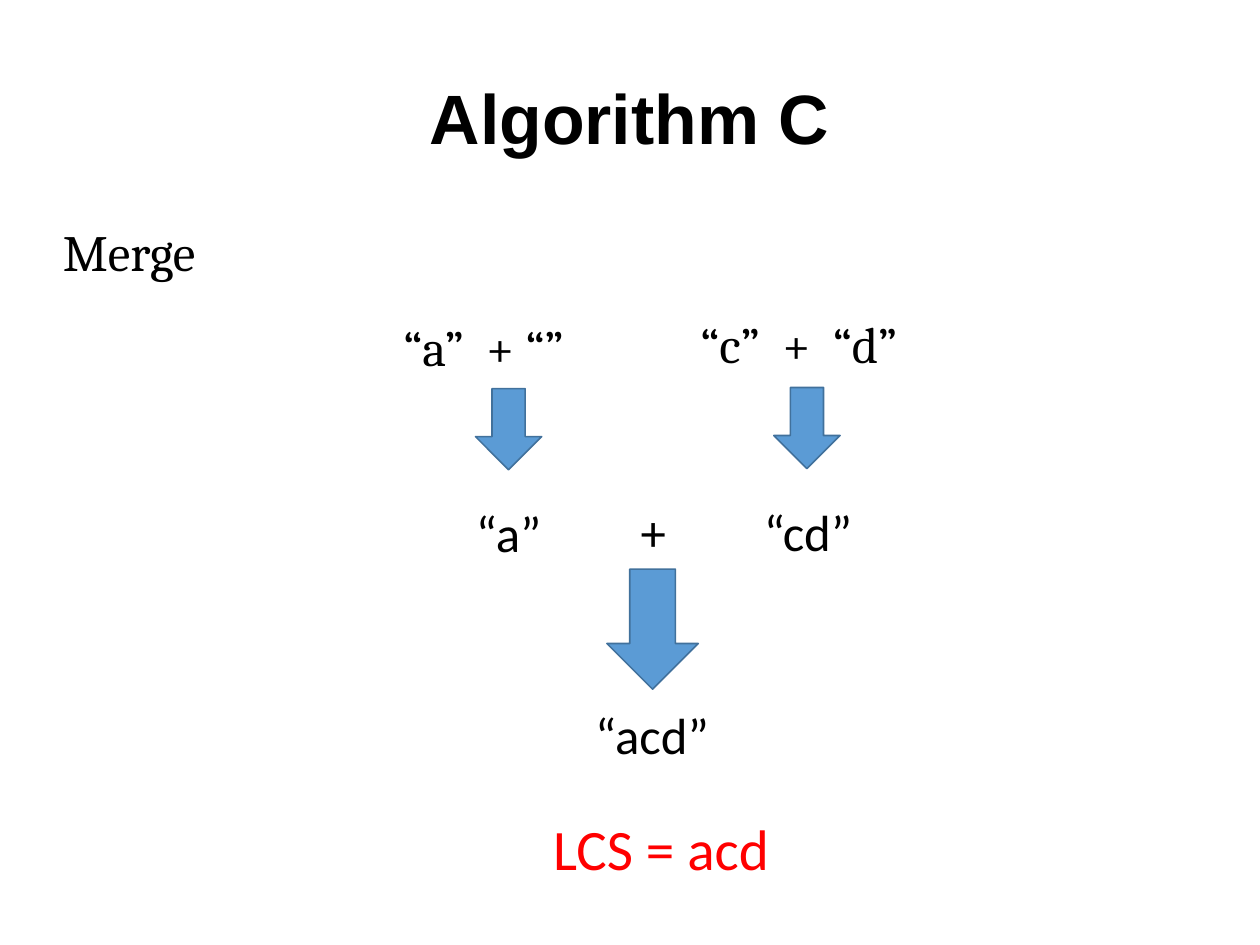
from pptx import Presentation
from pptx.dml.color import RGBColor as RGB
from pptx.enum.shapes import MSO_SHAPE as SHAPE
from pptx.enum.text import MSO_ANCHOR as ANCHOR, PP_ALIGN as ALIGN
from pptx.util import Cm, Inches, Pt

THEME = {
    "black": RGB(0, 0, 0),
    "red": RGB(255, 0, 0),
    "arrow_fill": RGB(0x5B, 0x9B, 0xD5),
    "arrow_line": RGB(0x41, 0x71, 0x9C),
    "title": {"name": "Arial", "size": Pt(44), "bold": True},
    "serif": {"name": "Cambria", "size": Pt(32)},
    "sans": {"name": "Calibri", "size": Pt(32)},
    "answer": {"name": "Calibri", "size": Pt(36)},
}

HEADINGS = [
    ("Algorithm C", "title", (0.55, 0.33, 9.92, 1.38), ALIGN.CENTER, ANCHOR.MIDDLE),
    ("Merge", "serif", (0.55, 1.93, 9.92, 0.56), ALIGN.LEFT, ANCHOR.TOP),
]
PAIRS = [
    ("“a”  + “”", (3.43, 2.71, 1.79, 0.94)),
    ("“c”  +  “d”", (6.03, 2.69, 2.07, 0.94)),
]
MERGED = [
    ("“a”", (4.06, 4.34, 0.78, 0.64)),
    ("+", (5.5, 4.33, 0.43, 0.64)),
    ("“cd”", (6.58, 4.33, 0.98, 0.64)),
    ("“acd”", (5.1, 6.11, 1.21, 0.64)),
]
ANSWER = ("LCS = acd", (4.74, 7.07, 2.24, 0.71))
ARROWS = [
    (4.16, 3.4, 0.58, 0.71),
    (6.77, 3.39, 0.58, 0.71),
    (5.31, 4.98, 0.8, 1.05),
]

prs = Presentation()
prs.slide_width, prs.slide_height = Cm(28), Cm(21)
s = prs.slides.add_slide(prs.slide_layouts[6])


def add_text(text, style, box, color="black", align=ALIGN.LEFT,
             anchor=ANCHOR.TOP, wrap=True, inset=(0.1, 0.05)):
    tf = s.shapes.add_textbox(*map(Inches, box)).text_frame
    side, end = map(Inches, inset)
    frame = {"word_wrap": wrap, "vertical_anchor": anchor,
             "margin_left": side, "margin_right": side,
             "margin_top": end, "margin_bottom": end}
    for key, value in frame.items():
        setattr(tf, key, value)
    p = tf.paragraphs[0]
    p.alignment = align
    r = p.add_run()
    r.text = text
    for key, value in THEME[style].items():
        setattr(r.font, key, value)
    r.font.color.rgb = THEME[color]


def add_arrow(box):
    sp = s.shapes.add_shape(SHAPE.DOWN_ARROW, *map(Inches, box))
    sp.shadow.inherit = False
    sp.fill.solid()
    sp.fill.fore_color.rgb = THEME["arrow_fill"]
    sp.line.color.rgb = THEME["arrow_line"]
    sp.line.width = Pt(1)


for text, style, box, align, anchor in HEADINGS:
    add_text(text, style, box, align=align, anchor=anchor, inset=(0, 0))
for box in ARROWS:
    add_arrow(box)
for text, box in PAIRS:
    add_text(text, "serif", box)
for text, box in MERGED:
    add_text(text, "sans", box, align=ALIGN.CENTER, wrap=False)
add_text(ANSWER[0], "answer", ANSWER[1], color="red")

prs.save("out.pptx")
